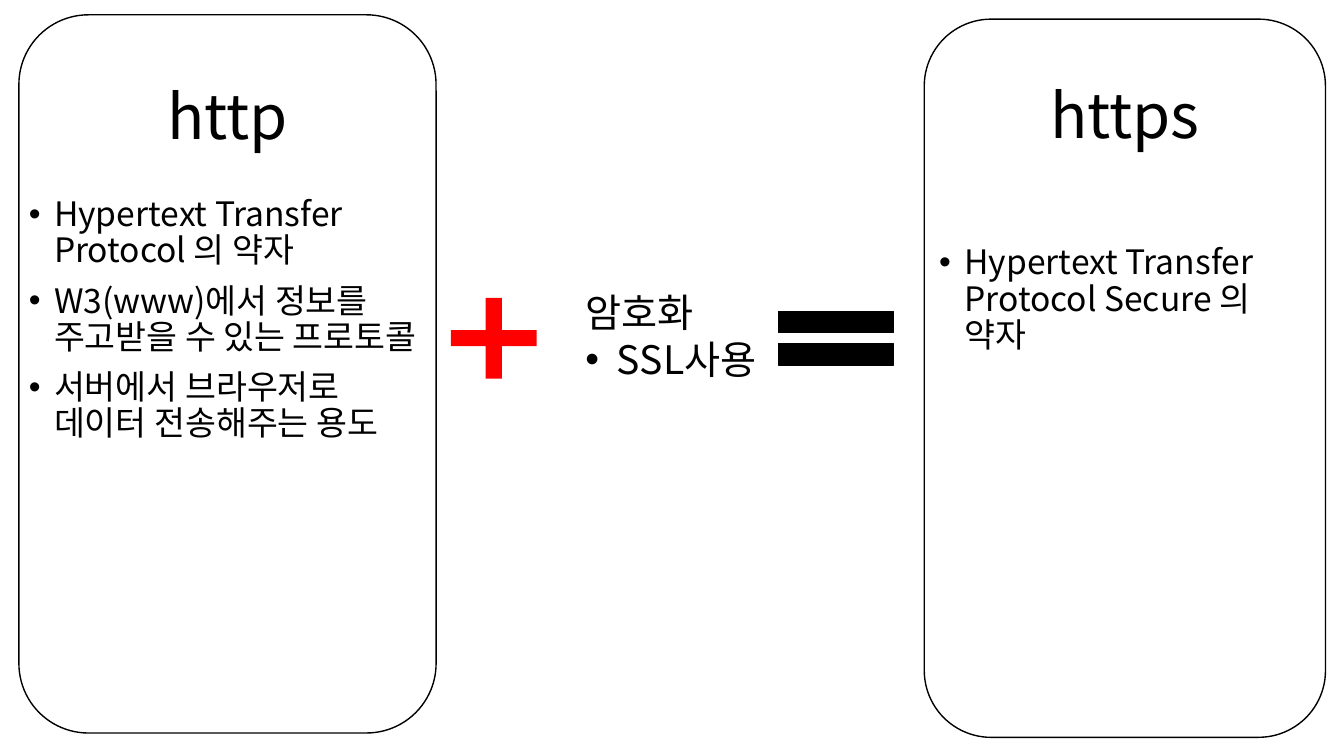
from lxml.etree import SubElement
from pptx import Presentation
from pptx.dml.color import RGBColor
from pptx.enum.shapes import MSO_SHAPE
from pptx.enum.text import MSO_ANCHOR, PP_ALIGN
from pptx.oxml.ns import qn
from pptx.util import Pt

FONT = "Noto Sans CJK KR"
BLACK, WHITE, RED = "000000", "FFFFFF", "FF0000"


def color(hex_code):
    return RGBColor.from_string(hex_code)


def add_figure(slide, kind, box, fill, outline=None):
    figure = slide.shapes.add_shape(kind, *map(Pt, box))
    figure.shadow.inherit = False
    figure.fill.solid()
    figure.fill.fore_color.rgb = color(fill)
    if outline:
        figure.line.color.rgb = color(outline)
        figure.line.width = Pt(1)
    else:
        figure.line.fill.background()
    return figure


def add_text_frame(slide, box, anchor=MSO_ANCHOR.TOP):
    frame = slide.shapes.add_textbox(*map(Pt, box)).text_frame
    frame.word_wrap = True
    frame.vertical_anchor = anchor
    return frame


def add_run(paragraph, text, size):
    run = paragraph.add_run()
    run.text = text
    run.font.name = FONT
    run.font.size = Pt(size)
    run.font.color.rgb = color(BLACK)
    SubElement(run.font._element, qn("a:ea"), typeface=FONT)


def add_bullet(paragraph, indent):
    """Give the paragraph a round bullet with a hanging indent."""
    properties = paragraph._p.get_or_add_pPr()
    properties.set("marL", str(Pt(indent)))
    properties.set("indent", str(-Pt(indent)))
    SubElement(properties, qn("a:buFont"), typeface="Arial")
    SubElement(properties, qn("a:buChar"), char="•")


def add_heading(slide, box, text):
    heading = add_text_frame(slide, box, MSO_ANCHOR.MIDDLE).paragraphs[0]
    heading.alignment = PP_ALIGN.CENTER
    heading.line_spacing = 0.9
    add_run(heading, text, 44)


def add_bullet_list(slide, box, items):
    frame = add_text_frame(slide, box)
    for index, item in enumerate(items):
        paragraph = frame.add_paragraph() if index else frame.paragraphs[0]
        paragraph.line_spacing = 0.9
        paragraph.space_before = Pt(10)
        add_bullet(paragraph, 18)
        add_run(paragraph, item, 24)


def add_protocol(slide, panel_box, heading_box, name, list_box, items):
    add_figure(slide, MSO_SHAPE.ROUNDED_RECTANGLE, panel_box, WHITE, BLACK)
    add_heading(slide, heading_box, name)
    add_bullet_list(slide, list_box, items)


def add_encryption(slide):
    plus = add_figure(slide, MSO_SHAPE.MATH_PLUS, (311, 202.3, 83.5, 78.5), RED)
    plus.adjustments[0] = 0.146
    frame = add_text_frame(slide, (411.1, 202.3, 164.2, 74.9))
    add_run(frame.paragraphs[0], "암호화", 28)
    method = frame.add_paragraph()
    add_bullet(method, 22.5)
    add_run(method, "SSL사용", 28)
    add_figure(slide, MSO_SHAPE.MATH_EQUAL, (541.4, 208.8, 111.6, 65.5), BLACK, BLACK)


def main():
    presentation = Presentation()
    presentation.slide_width = Pt(960)
    presentation.slide_height = Pt(540)
    slide = presentation.slides.add_slide(presentation.slide_layouts[6])

    add_protocol(
        slide, (13.5, 10.6, 298, 513), (13.5, 33.1, 298, 104.4), "http",
        (13.5, 137.5, 296.6, 386),
        ["Hypertext Transfer Protocol 의 약자",
         "W3(www)에서 정보를 주고받을 수 있는 프로토콜",
         "서버에서 브라우저로 데이터 전송해주는 용도"])
    add_encryption(slide)
    add_protocol(
        slide, (660.2, 13.7, 286.6, 513), (660.2, 32.4, 286.6, 104.4), "https",
        (663.8, 172.1, 283, 117.4),
        ["Hypertext Transfer Protocol Secure 의 약자"])

    presentation.save("out.pptx")


if __name__ == "__main__":
    main()
